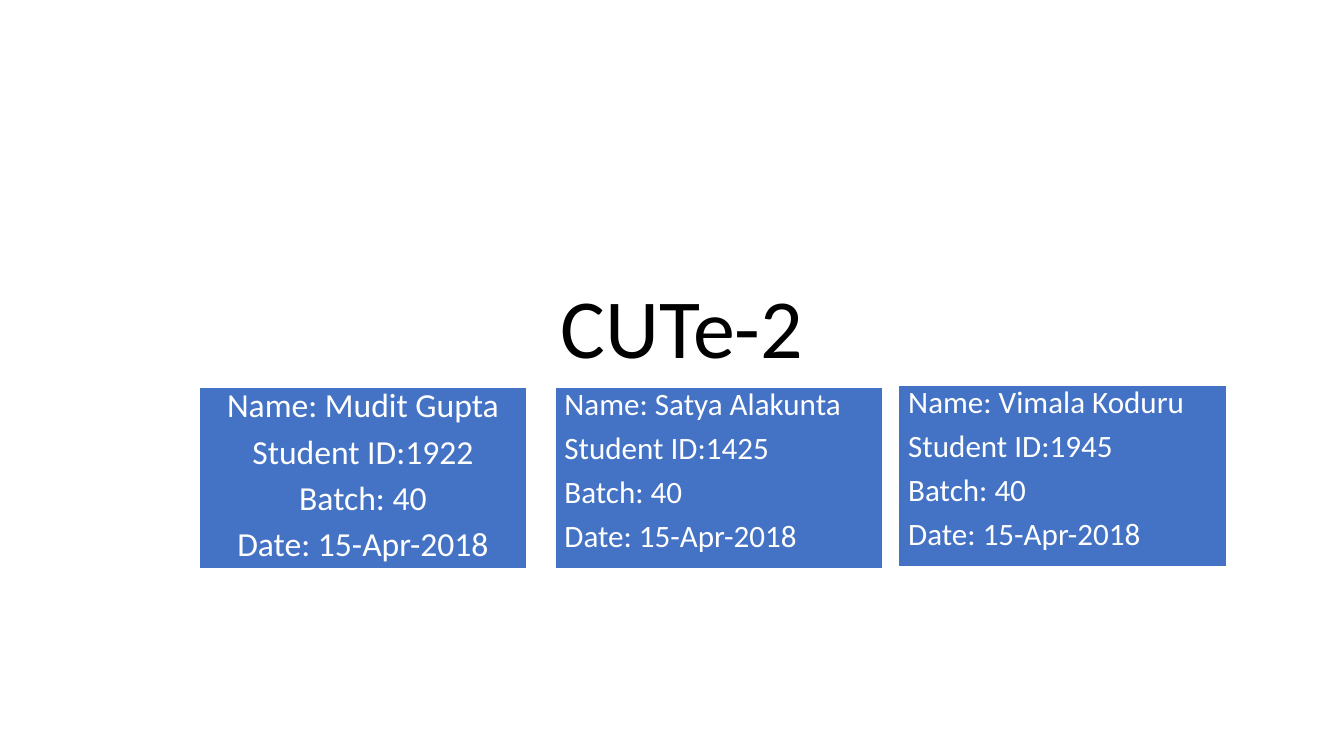
from dataclasses import dataclass
from pptx import Presentation
from pptx.dml.color import RGBColor
from pptx.enum.shapes import MSO_SHAPE as Shape
from pptx.enum.text import MSO_ANCHOR as Anchor, PP_ALIGN as Align
from pptx.slide import Slide
from pptx.text.text import TextFrame
from pptx.util import Inches, Pt

COLORS = {"title": "000000", "card": "4472C4", "light": "FFFFFF"}
FONT = "Calibri"
WIDTH, HEIGHT = Inches(3.26), Inches(1.81)


@dataclass
class Card:
    name: str
    number: int
    left: float
    top: float = 3.84
    size: float = 22.2
    align: Align = Align.LEFT


CARDS = [
    Card("Mudit Gupta", 1922, 1.97, size=24, align=Align.CENTER),
    Card("Satya Alakunta", 1425, 5.5),
    Card("Vimala Koduru", 1945, 8.91, top=3.82),
]


def color(key: str) -> RGBColor:
    return RGBColor.from_string(COLORS[key])


def write(frame: TextFrame, lines: list[str], size: float, ink: str,
          align: Align, pitch: float, gap: float = 0) -> None:
    frame.word_wrap = True
    for i, line in enumerate(lines):
        para = frame.add_paragraph() if i else frame.paragraphs[0]
        para.alignment = align
        para.line_spacing = pitch
        para.space_before = Pt(gap)
        run = para.add_run()
        run.text = line
        run.font.name = FONT
        run.font.size = Pt(size)
        run.font.color.rgb = color(ink)


def add_title(slide: Slide, text: str) -> None:
    box = slide.shapes.add_textbox(Inches(1.89), Inches(1.32), Inches(9.75), Inches(2.47))
    box.text_frame.vertical_anchor = Anchor.BOTTOM
    write(box.text_frame, [text], 60, "title", Align.CENTER, 0.9)


def add_card(slide: Slide, card: Card) -> None:
    box = slide.shapes.add_shape(
        Shape.RECTANGLE, Inches(card.left), Inches(card.top), WIDTH, HEIGHT)
    box.shadow.inherit = False
    box.fill.solid()
    box.fill.fore_color.rgb = color("card")
    box.line.color.rgb = color("light")
    box.line.width = Pt(1.5)
    box.text_frame.vertical_anchor = Anchor.TOP
    lines = [f"Name: {card.name}", f"Student ID:{card.number}",
             "Batch: 40", "Date: 15-Apr-2018"]
    write(box.text_frame, lines, card.size, "light", card.align, 0.8, 10)


deck = Presentation()
deck.slide_width, deck.slide_height = Inches(13.33), Inches(7.5)
slide = deck.slides.add_slide(deck.slide_layouts[6])
add_title(slide, "CUTe-2")
for card in CARDS:
    add_card(slide, card)
deck.save("out.pptx")
